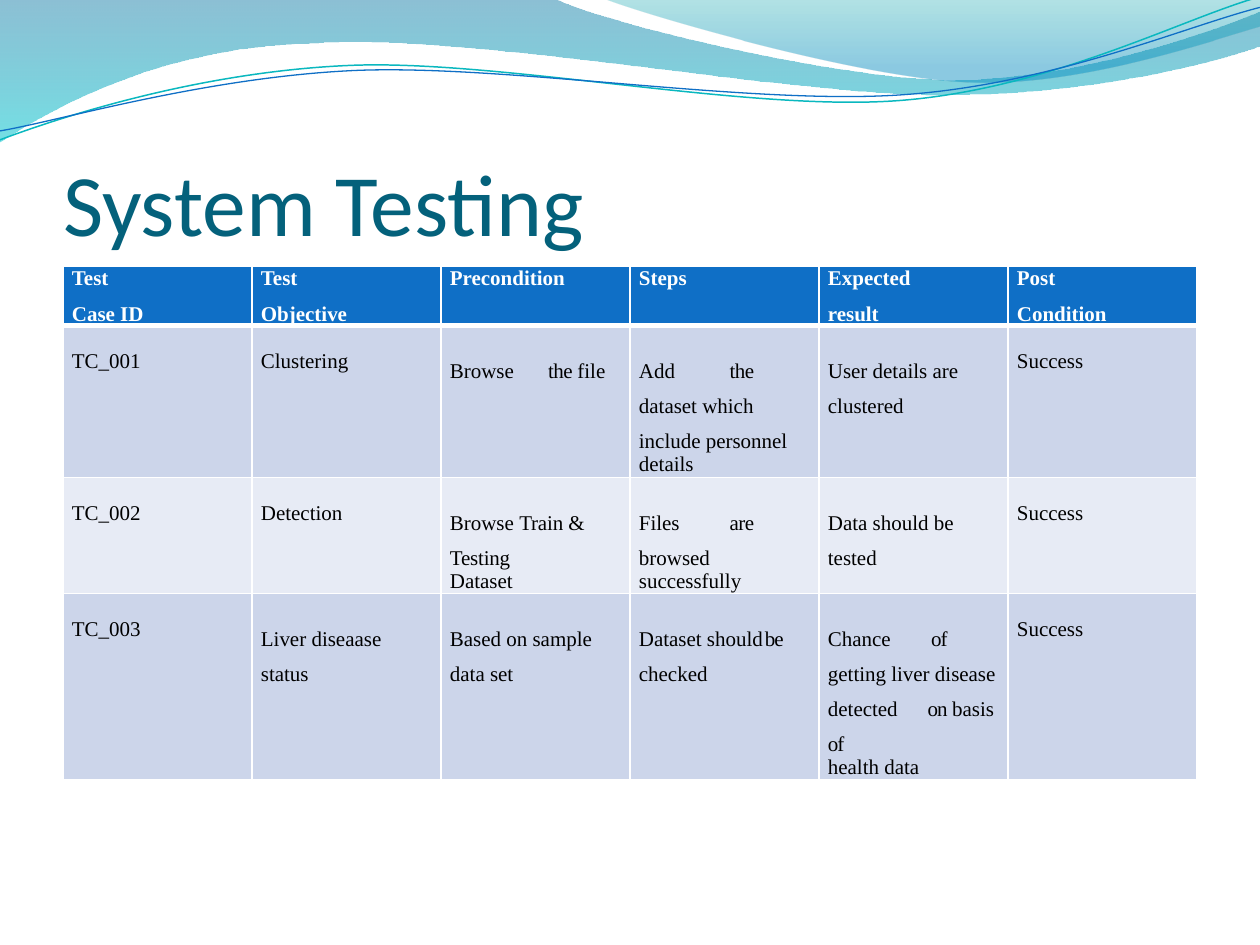
from dataclasses import dataclass

from lxml import etree
from pptx import Presentation
from pptx import util as u
from pptx.dml.color import RGBColor
from pptx.enum import text
from pptx.oxml import ns

WHITE = RGBColor(0xFF, 0xFF, 0xFF)
BLACK = RGBColor(0x00, 0x00, 0x00)
TITLE_TEAL = RGBColor(0x04, 0x61, 0x7B)
HEADER_BLUE = RGBColor(0x0F, 0x6F, 0xC6)
LINE_TEAL = RGBColor(0x0A, 0xB8, 0xBF)
ROW_DARK = RGBColor(0xCC, 0xD5, 0xEA)
ROW_LIGHT = RGBColor(0xE7, 0xEB, 0xF5)


@dataclass
class Stop:
    position: float
    color: RGBColor
    opacity: int


@dataclass
class Wave:
    """Start point in cm, then lines (one point) and curves (three points)."""
    start: tuple
    segments: list
    stops: tuple = ()
    line: RGBColor | None = None
    width: float = 0


@dataclass
class Entry:
    """Cell text; every second piece between bars has tighter letters."""
    lead: str
    tail: str = ""
    tabs: tuple = ()
    spaced: bool = True
    tight: int = -30  # hundredths of a point


WAVES = [
    Wave((0, 0), [
        [(11.18, -0.03)],
        [(12.09, 0.43), (16.87, 1.6), (19.25, 1.6)],
        [(21.67, 1.6), (24.33, 0.66), (25.4, 0.23)],
        [(25.43, 0.91)],
        [(24.97, 1.12), (22.1, 1.93), (18.95, 1.91)],
        [(15.8, 1.91), (9.7, 0.71), (6.53, 0.86)],
        [(3.28, 0.91), (1.17, 2.11), (-0.03, 2.87)],
    ], stops=(Stop(0, RGBColor(0x00, 0x74, 0xA1), 45),
              Stop(1, RGBColor(0x00, 0xC6, 0xCF), 55))),
    Wave((12.17, -0.03), [
        [(12.93, 0.28), (17.32, 1.57), (19.53, 1.65)],
        [(21.74, 1.75), (24.41, 0.81), (25.4, 0.53)],
        [(25.4, 0)],
    ], stops=(Stop(0, RGBColor(0x00, 0xA1, 0xA9), 30),
              Stop(0.8, RGBColor(0x00, 0x8B, 0xBF), 45))),
    Wave((0, 2.82), [
        [(1.22, 2.36), (4.01, 1.45), (7.04, 1.32)],
        [(10.03, 1.19), (15.06, 2.26), (18.11, 2.03)],
        [(21.16, 1.8), (23.83, 0.38), (25.35, -0.05)],
    ], line=LINE_TEAL, width=0.85),
    Wave((0, 2.64), [
        [(1.19, 2.44), (4.17, 1.55), (7.19, 1.42)],
        [(10.24, 1.3), (15.16, 2.13), (18.21, 1.91)],
        [(21.23, 1.7), (23.9, 0.53), (25.4, 0.15)],
    ], line=HEADER_BLUE, width=0.75),
]

HEADER = [Entry("Test", "Case ID"), Entry("Test", "Objective"), Entry("Precondition"),
          Entry("Steps"), Entry("Expected", "result"), Entry("Post", "Condition")]
SUCCESS = Entry("Success", spaced=False)
BODY = [
    [Entry("TC_001", spaced=False), Entry("Clustering", spaced=False),
     Entry("Browse\t|the |file", tabs=(1.98,)),
     Entry("Add\t|the |dataset which include personnel", "details", (1.83,)),
     Entry("User details are clustered"), SUCCESS],
    [Entry("TC_002", spaced=False), Entry("Detection", spaced=False),
     Entry("Browse |Train |&\t|Testing", "Dataset", (1.24,), tight=-10),
     Entry("Files\t|are |browsed", "successfully", (1.83,)),
     Entry("Data should be tested"), SUCCESS],
    [Entry("TC_003", spaced=False), Entry("Liver diseaase status"),
     Entry("Based on sample data set"),
     Entry("Dataset should\t|be |checked", tabs=(1.96,), tight=-50),
     Entry("Chance\t\t|of |getting liver disease detected\t|on |basis |of",
           "health data", (2.01, 2.08), tight=-50), SUCCESS],
]
ROW_HEIGHTS = [1.19, 3.06, 2.34, 3.73]
COLUMN_WIDTH = 3.81


def bend_segments(shape, wave: Wave) -> None:
    """Turn the straight segments that have control points into curves."""
    lines = list(shape._element.spPr.iter(ns.qn("a:lnTo")))
    for line, segment in zip(lines, wave.segments):
        if len(segment) == 1:
            continue
        curve = etree.Element(ns.qn("a:cubicBezTo"))
        for x, y in segment:
            etree.SubElement(curve, ns.qn("a:pt"), x=str(u.Cm(x) - shape.left),
                             y=str(u.Cm(y) - shape.top))
        line.getparent().replace(line, curve)


def draw_wave(slide, wave: Wave) -> None:
    builder = slide.shapes.build_freeform(*map(u.Cm, wave.start))
    ends = [tuple(map(u.Cm, segment[-1])) for segment in wave.segments]
    builder.add_line_segments(ends, close=bool(wave.stops))
    shape = builder.convert_to_shape()
    bend_segments(shape, wave)
    shape.shadow.inherit = False
    if not wave.stops:
        shape.fill.background()
        shape.line.color.rgb = wave.line
        shape.line.width = u.Pt(wave.width)
        return
    shape.line.fill.background()
    shape.fill.gradient()
    shape.fill.gradient_angle = 270
    for stop, wanted in zip(shape.fill.gradient_stops, wave.stops):
        stop.position = wanted.position
        stop.color.rgb = wanted.color
    colors = shape._element.spPr.iter(ns.qn("a:srgbClr"))
    for color, wanted in zip(colors, wave.stops):
        etree.SubElement(color, ns.qn("a:alpha"), val=str(wanted.opacity * 1000))


def set_borders(cell, bottom: float) -> None:
    properties = cell._tc.get_or_add_tcPr()
    for index, side in enumerate(("lnL", "lnR", "lnT", "lnB")):
        width = bottom if side == "lnB" else 1
        border = etree.Element(ns.qn(f"a:{side}"), w=str(u.Pt(width)))
        fill = etree.SubElement(border, ns.qn("a:solidFill"))
        etree.SubElement(fill, ns.qn("a:srgbClr"), val=str(WHITE))
        properties.insert(index, border)


def write_paragraph(paragraph, content: str, entry: Entry, color: RGBColor, bold: bool) -> None:
    properties = paragraph._p.get_or_add_pPr()
    properties.set("marL", str(u.Cm(0.18)))
    if "\t" in content:
        tab_list = etree.SubElement(properties, ns.qn("a:tabLst"))
        for tab in entry.tabs:
            etree.SubElement(tab_list, ns.qn("a:tab"), pos=str(u.Cm(tab)), algn="l")
    for index, piece in enumerate(content.split("|")):
        run = paragraph.add_run()
        run.text = piece
        run.font.name = "Times New Roman"
        run.font.size = u.Pt(12)
        run.font.bold = bold
        run.font.color.rgb = color
        if index % 2:
            run._r.get_or_add_rPr().set("spc", str(entry.tight))


def fill_cell(cell, entry: Entry, fill: RGBColor, header: bool) -> None:
    cell.fill.solid()
    cell.fill.fore_color.rgb = fill
    cell.margin_left = cell.margin_bottom = 0
    cell.margin_right = 0 if header else u.Cm(0.2)
    cell.margin_top = 0 if header else u.Cm(0.45 if entry.spaced else 0.48)
    set_borders(cell, 3 if header else 1)
    color = WHITE if header else BLACK
    lead = cell.text_frame.paragraphs[0]
    write_paragraph(lead, entry.lead, entry, color, header)
    if header:
        lead.line_spacing = u.Pt(13.8)
    elif entry.spaced:
        lead.line_spacing = u.Pt(20)
    if entry.tail:
        tail = cell.text_frame.add_paragraph()
        write_paragraph(tail, entry.tail, entry, color, header)
        tail.space_before = u.Pt(6.8 if header else 0)


def main() -> None:
    presentation = Presentation()
    presentation.slide_width, presentation.slide_height = u.Cm(25.4), u.Cm(19.05)
    slide = presentation.slides.add_slide(presentation.slide_layouts[5])

    # Wave decoration
    for wave in WAVES:
        draw_wave(slide, wave)

    # Title
    title = slide.shapes.title
    title.left, title.top, title.width, title.height = map(u.Cm, (1.27, 1.96, 22.86, 3.17))
    frame = title.text_frame
    frame.text = "System Testing"
    frame.vertical_anchor = text.MSO_ANCHOR.BOTTOM
    frame.margin_left = frame.margin_right = frame.margin_bottom = 0
    frame.paragraphs[0].alignment = text.PP_ALIGN.LEFT
    font = frame.paragraphs[0].runs[0].font
    font.name, font.size, font.color.rgb = "Calibri", u.Pt(50), TITLE_TEAL

    # Test case table
    rows = [HEADER, *BODY]
    table = slide.shapes.add_table(len(rows), len(HEADER), u.Cm(1.27), u.Cm(5.37),
                                   u.Cm(COLUMN_WIDTH * len(HEADER)),
                                   u.Cm(sum(ROW_HEIGHTS))).table
    for row_index, (entries, height) in enumerate(zip(rows, ROW_HEIGHTS)):
        table.rows[row_index].height = u.Cm(height)
        fill = HEADER_BLUE if row_index == 0 else (ROW_LIGHT, ROW_DARK)[row_index % 2]
        for column_index, entry in enumerate(entries):
            fill_cell(table.cell(row_index, column_index), entry, fill, row_index == 0)

    presentation.save("out.pptx")


if __name__ == "__main__":
    main()
